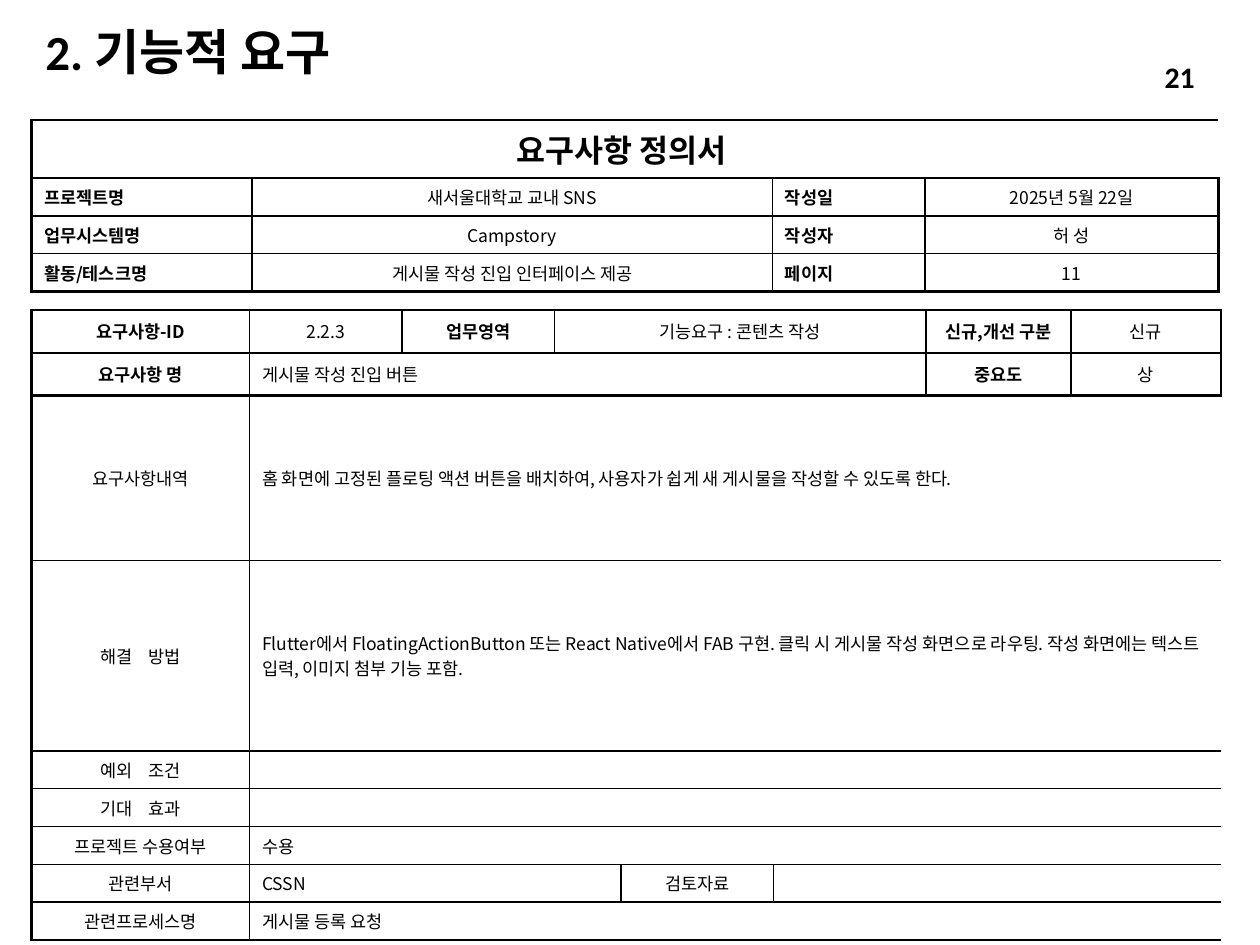
"""Build the functional requirement slide with its two form tables."""
import pptx
import pptx.util
import pptx.dml.color
import pptx.enum.text
import pptx.oxml.ns
import lxml.etree

Inches, Pt = pptx.util.Inches, pptx.util.Pt
ALIGN = pptx.enum.text.PP_ALIGN
MIDDLE = pptx.enum.text.MSO_ANCHOR.MIDDLE
TOP = pptx.enum.text.MSO_ANCHOR.TOP
SIDES = {"l": ALIGN.LEFT, "c": ALIGN.CENTER, "j": ALIGN.JUSTIFY, "r": ALIGN.RIGHT}
COLORS = {"ink": "000000"}
KOREAN = "Noto Sans CJK KR"
qn = pptx.oxml.ns.qn


def write(frame, text, size, font, side, bold):
    frame.text = text
    para = frame.paragraphs[0]
    para.alignment = SIDES[side]
    para.font.size = Pt(size)
    for run in para.runs:
        run.font.size = Pt(size)
        run.font.name = font
        run.font.bold = bold
        run.font.color.rgb = pptx.dml.color.RGBColor.from_string(COLORS["ink"])
        if font == KOREAN:
            lxml.etree.SubElement(run.font._element, qn("a:ea"), typeface=font)
    return para


def border(cell, edges):
    props = cell._tc.get_or_add_tcPr()
    for edge, width in edges.items():
        line = lxml.etree.SubElement(props, qn("a:ln" + edge), w=str(Pt(width)))
        if width:
            fill = lxml.etree.SubElement(line, qn("a:solidFill"))
            lxml.etree.SubElement(fill, qn("a:srgbClr"), val=COLORS["ink"])
        else:
            lxml.etree.SubElement(line, qn("a:noFill"))


deck = pptx.Presentation()
deck.slide_width, deck.slide_height = Inches(10), Inches(7.5)
slide = deck.slides.add_slide(deck.slide_layouts[5])

title = slide.shapes.title
title.left, title.top = Inches(0.26), Inches(0.21)
title.width, title.height = Inches(5.36), Inches(0.44)
write(title.text_frame, "2. 기능적 요구", 28, "Calibri", "l", True).line_spacing = 0.9
title.text_frame.vertical_anchor = MIDDLE

detail = [
    [("요구사항-ID", 1, "c", True), ("2.2.3", 1, "c", False),
     ("업무영역", 1, "c", True), ("기능요구 : 콘텐츠 작성", 3, "c", False),
     ("신규,개선 구분", 1, "c", True), ("신규", 1, "c", False)],
    [("요구사항 명", 1, "c", True), ("게시물 작성 진입 버튼", 5, "l", False),
     ("중요도", 1, "c", True), ("상", 1, "c", False)],
]
for label, value in [
    ("요구사항내역", "홈 화면에 고정된 플로팅 액션 버튼을 배치하여, "
     "사용자가 쉽게 새 게시물을 작성할 수 있도록 한다."),
    ("해결    방법", "Flutter에서 FloatingActionButton 또는 React Native에서 FAB 구현. "
     "클릭 시 게시물 작성 화면으로 라우팅. "
     "작성 화면에는 텍스트 입력, 이미지 첨부 기능 포함."),
    ("예외    조건", ""),
    ("기대    효과", ""),
    ("프로젝트 수용여부", "수용"),
    ("관련부서", "CSSN"),
    ("관련프로세스명", "게시물 등록 요청"),
]:
    detail.append([(label, 1, "c", False), (value, 7, "l", False)])
detail[7][1:] = [("CSSN", 3, "l", False), ("검토자료", 1, "c", False), ("", 3, "l", False)]

header = [[("요구사항 정의서 ", 4, "c", True)]]
for label, value, tag, note in [
    ("프로젝트명", "새서울대학교 교내 SNS", "작성일", "2025년 5월 22일"),
    ("업무시스템명 ", "Campstory", "작성자", "허 성"),
    ("활동/테스크명", "게시물 작성 진입 인터페이스 제공", "페이지", "11"),
]:
    header.append([(label, 1, "j", True), (value, 1, "c", False),
                   (tag, 1, "j", True), (note, 1, "c", False)])

forms = [
    (2.46, [1.73, 1.21, 1.21, 0.53, 1.21, 1.21, 1.15, 1.19],
     [0.34, 0.34, 1.31, 1.51] + [0.3] * 5, detail, {0, 1, 2, 9}),
    (0.95, [1.75, 4.13, 1.21, 2.33], [0.46] + [0.3] * 3, header, {0, 4}),
]
for top, cols, rows, lines, thick in forms:
    frame = slide.shapes.add_table(len(rows), len(cols), Inches(0.25), Inches(top),
                                   Inches(sum(cols)), Inches(sum(rows)))
    table = frame.table
    table.first_row = table.horz_banding = False
    for col, width in zip(table.columns, cols):
        col.width = Inches(width)
    for row, height in zip(table.rows, rows):
        row.height = Inches(height)
    for r, line in enumerate(lines):
        start = 0
        for text, span, side, bold in line:
            end = start + span
            cell = table.cell(r, start)
            if span > 1:
                cell.merge(table.cell(r, end - 1))
            banner = lines is header and r == 0
            size = 18 if banner else 10
            para = write(cell.text_frame, text, size, KOREAN, side, bold)
            para.space_before = Pt(size * 0.2)
            cell.vertical_anchor = MIDDLE if banner or lines is detail else TOP
            for c in range(start, end):
                part = table.cell(r, c)
                border(part, {
                    "L": 1.5 if c == 0 else 1 if c == start else 0,
                    "R": 1.5 if c == len(cols) - 1 else 1 if c == end - 1 else 0,
                    "T": 1.5 if r in thick else 1,
                    "B": 1.5 if r + 1 in thick else 1,
                })
                part.fill.background()
            start = end

page = slide.shapes.add_textbox(Inches(7.96), Inches(0.41), Inches(1.62), Inches(0.4))
page.text_frame.word_wrap = True
page.text_frame.vertical_anchor = MIDDLE
write(page.text_frame, "21", 17, "Calibri", "r", True)

deck.save("out.pptx")
